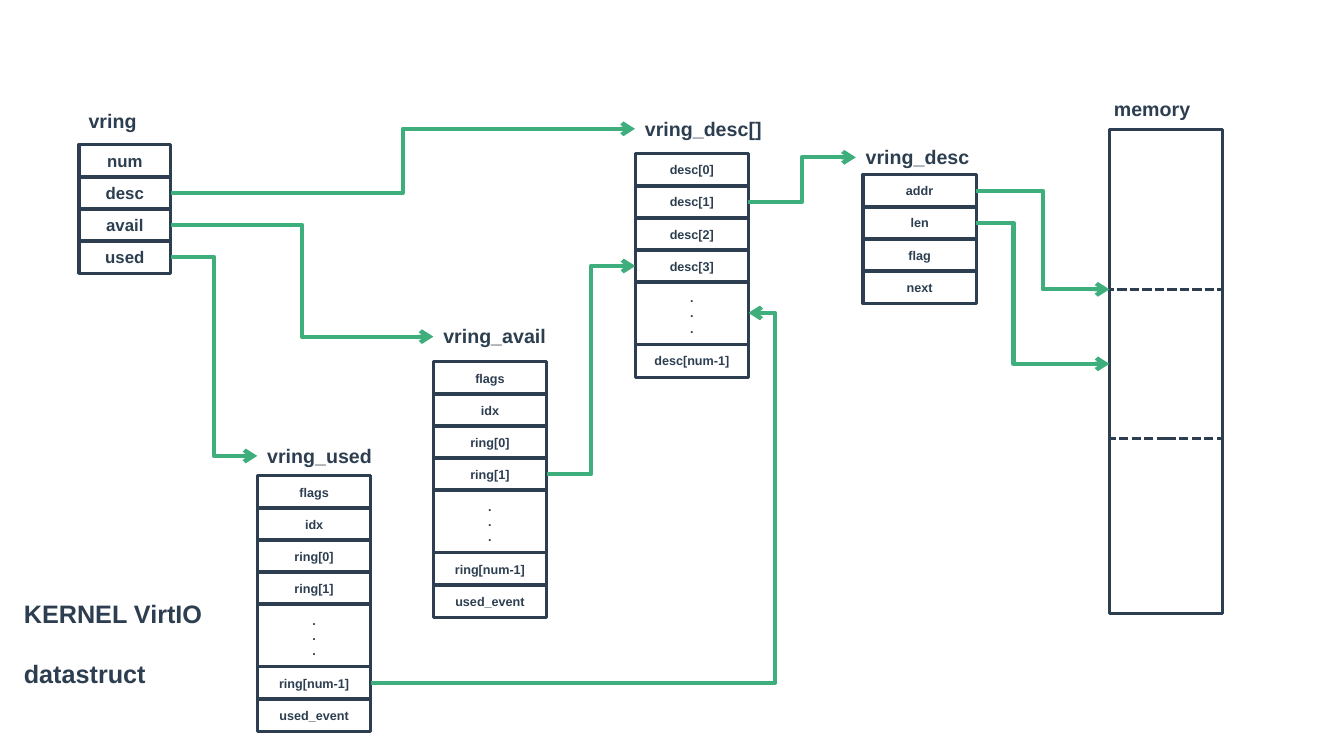
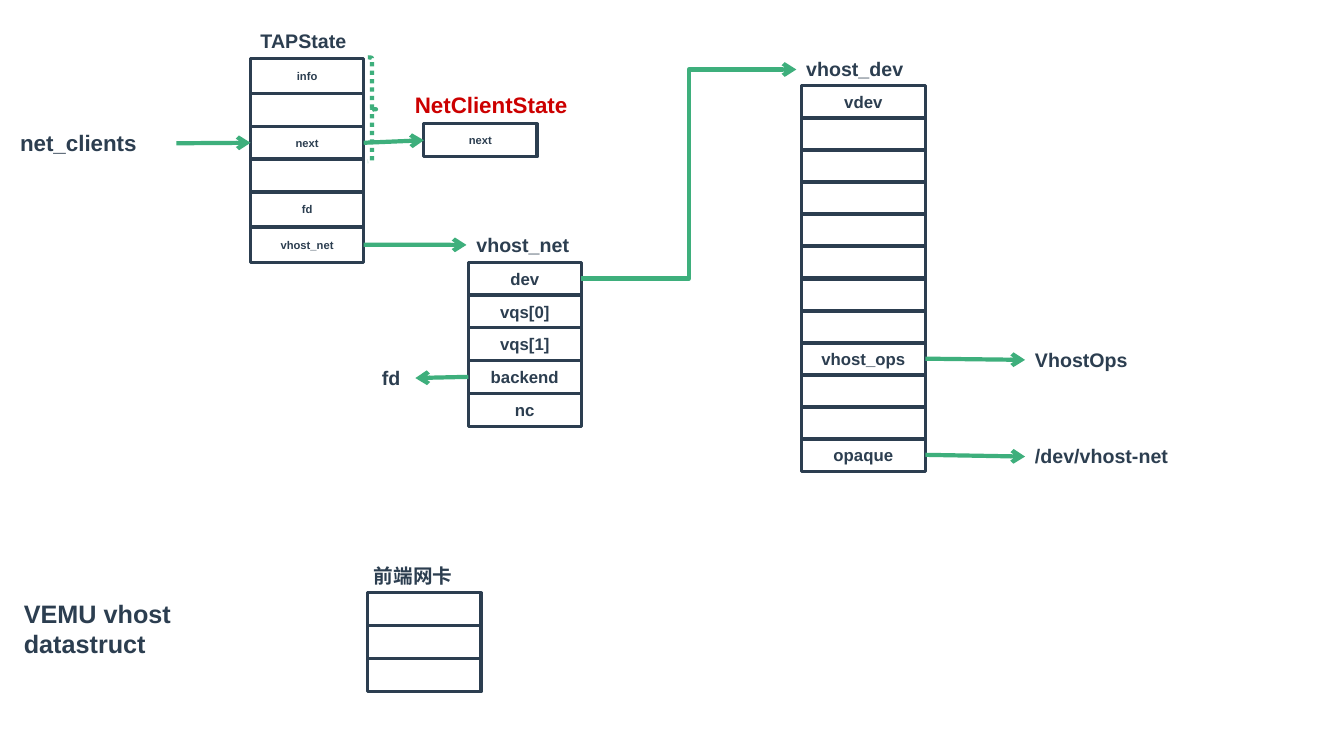
from pptx import Presentation
from pptx.dml.color import RGBColor
from pptx.enum import dml, shapes, text
from pptx.oxml import ns
from pptx.util import Pt
from lxml import etree

INK = RGBColor(0x2C, 0x3E, 0x50)
GREEN = RGBColor(0x3E, 0xAF, 0x7C)
RED = RGBColor(0xCC, 0x00, 0x00)
FONT = "Arial"
CELL_HEIGHT = 23.6
CELL_WIDTH = 80.8
DOTS = ".\n.\n."
DOTS_STEP = 44.8
LEFT, RIGHT = 1, 3  # connection sites of a rectangle


def write(shape, words, size, color=INK, align=text.PP_ALIGN.LEFT, gap=0):
    """Put bold text in a shape, one paragraph a line, gap points apart."""
    frame = shape.text_frame
    frame.word_wrap = True
    frame.text = words
    for index, para in enumerate(frame.paragraphs):
        para.alignment = align
        if index and gap:
            para.space_before = Pt(gap)
        for span in para.runs:
            span.font.name, span.font.size, span.font.bold = FONT, Pt(size), True
            span.font.color.rgb = color


def outline(owner, left, top, width, height, color=INK, weight=2.25,
            kind=shapes.MSO_SHAPE.RECTANGLE, dash=None):
    """Add an unfilled preset shape to a slide or group."""
    box = owner.shapes.add_shape(kind, Pt(left), Pt(top), Pt(width), Pt(height))
    box.shadow.inherit = False
    box.fill.background()
    box.line.color.rgb = color
    box.line.width = Pt(weight)
    if dash:
        box.line.dash_style = dash
    return box


def label(owner, words, left, top, width, size=14, **style):
    """Add a text box just tall enough for its lines of text."""
    height = size * 1.2 * (words.count("\n") + 1) + 7.7 + style.get("gap", 0)
    box = owner.shapes.add_textbox(Pt(left), Pt(top), Pt(width), Pt(height))
    write(box, words, size, **style)
    return box


def caption(page, words, gap=0):
    """Name the slide in its lower left corner."""
    label(page, words, 10, 423.5, 160, 18, gap=gap)


def struct(page, name, name_box, left, top, rows, width=CELL_WIDTH,
           size=9, pitch=22.9, steps=None, **name_style):
    """Draw a named column of cells; steps overrides the pitch of single rows."""
    group = page.shapes.add_group_shape()
    head = label(group, name, *name_box, **name_style)
    cells = []
    for index, words in enumerate(rows):
        step = (steps or {}).get(index, pitch)
        cell = outline(group, left, top, width, max(step, CELL_HEIGHT))
        if words:
            cell.text_frame.vertical_anchor = text.MSO_ANCHOR.MIDDLE
            write(cell, words, size, align=text.PP_ALIGN.CENTER)
        cells.append(cell)
        top += step
    return head, cells


def memory_block(page, left, top, width=CELL_WIDTH):
    """Draw the memory column and return its dashed region."""
    group = page.shapes.add_group_shape()
    label(group, "memory", left - 4, top - 27.3, 79)
    outline(group, left, top, width, 345.8)
    return outline(group, left, top + 114, width, 106.4,
                   dash=dml.MSO_LINE.SQUARE_DOT)


def arrow(page, start, end, bend=None, exit_site=RIGHT, entry_site=LEFT, corner=False):
    """Join two shapes; bend is the share of the width where an elbow turns.

    With corner the arrow ends at the top left of the second shape.
    """
    kind = shapes.MSO_CONNECTOR.STRAIGHT if bend is None else shapes.MSO_CONNECTOR.ELBOW
    link = page.shapes.add_connector(kind, 0, 0, end.left, end.top)
    link.begin_connect(start, exit_site)
    if not corner:
        link.end_connect(end, entry_site)
    link.line.color.rgb = GREEN
    link.line.width = Pt(3)
    properties = link._element.spPr
    line = properties.find(ns.qn("a:ln"))
    etree.SubElement(line, ns.qn("a:tailEnd"), type="arrow")
    etree.SubElement(properties, ns.qn("a:effectLst"))
    if bend is not None:
        guides = properties.find(ns.qn("a:prstGeom")).find(ns.qn("a:avLst"))
        etree.SubElement(guides, ns.qn("a:gd"), name="adj1",
                         fmla=f"val {round(bend * 100000)}")


def kernel_slide(page):
    """Show the kernel ring structures and where they point."""
    ring = ["flags", "idx", "ring[0]", "ring[1]", DOTS, "ring[num-1]", "used_event"]
    _, vring = struct(page, "vring", (56.2, 74.2, 56), 56.4, 103,
                      ["num", "desc", "avail", "used"], width=65.5, size=12)
    avail_name, avail = struct(page, "vring_avail", (309.6, 228.2, 100),
                               309.6, 258.3, ring, steps={4: DOTS_STEP})
    used_name, used = struct(page, "vring_used", (183.8, 313.4, 100),
                             184, 339.8, ring, steps={4: DOTS_STEP})
    table_name, table = struct(page, "vring_desc[]", (453.6, 79.8, 111), 453.8, 109.5,
                               [f"desc[{n}]" for n in range(4)] + [DOTS, "desc[num-1]"],
                               steps={4: DOTS_STEP})
    desc_name, desc = struct(page, "vring_desc", (611.3, 100.2, 98.6), 616.5, 124.5,
                             ["addr", "len", "flag", "next"])
    region = memory_block(page, 792.5, 92.7)

    arrow(page, vring[1], table_name, 0.5)
    arrow(page, vring[2], avail_name, 0.5)
    arrow(page, vring[3], used_name, 0.5)
    arrow(page, avail[3], table[3], 0.5)
    arrow(page, used[5], table[4], 1.07, entry_site=RIGHT)
    arrow(page, table[1], desc_name, 0.5)
    arrow(page, desc[0], region, 0.5, corner=True)
    arrow(page, desc[1], region, 0.28)
    caption(page, "KERNEL VirtIO\ndatastruct", gap=21.4)


def vhost_slide(page):
    """Show the emulator structures from the client list to the device."""
    clients = label(page, "net_clients", 7.2, 88.9, 118.8, 16)
    _, tap = struct(page, "TAPState", (179, 17.3, 86), 179, 41.6,
                    ["info", "", "next", "", "fd", "vhost_net"], size=8,
                    pitch=23.4, steps={0: 25.2, 4: 25.2, 5: 25.2})
    outline(page, 262.8, 41, 5.8, 74.2, GREEN, 3,
            shapes.MSO_SHAPE.RIGHT_BRACE, dml.MSO_LINE.ROUND_DOT)
    _, client = struct(page, "NetClientState", (277, 61.4, 147.6, 16), 302.8, 88.4,
                       ["next"], size=8, color=RED, align=text.PP_ALIGN.CENTER)
    net_name, net = struct(page, "vhost_net", (333.2, 162.7, 91.4), 334.5, 187.2,
                           ["dev", "vqs[0]", "vqs[1]", "backend", "nc"],
                           size=12, pitch=23.4)
    dev_name, dev = struct(page, "vhost_dev", (568.8, 37.4, 103.7), 572.4, 61.2,
                           ["vdev"] + [""] * 7 + ["vhost_ops", "", "", "opaque"],
                           width=88.6, size=12)
    struct(page, "前端网卡", (260, 399.6, 78), 262.8, 423.4, [""] * 3, pitch=CELL_HEIGHT)
    operations = label(page, "VhostOps", 732.2, 244.8, 90)
    device = label(page, "/dev/vhost-net", 732.2, 313.9, 128.9)
    backend = label(page, "fd", 265.7, 257.8, 31)

    arrow(page, clients, tap[2])
    arrow(page, tap[2], client[0])
    arrow(page, tap[5], net_name)
    arrow(page, net[0], dev_name, 0.5)
    arrow(page, dev[8], operations)
    arrow(page, dev[11], device)
    arrow(page, net[3], backend, exit_site=LEFT, entry_site=RIGHT)
    caption(page, "VEMU vhost\ndatastruct")


deck = Presentation()
deck.slide_width, deck.slide_height = Pt(960), Pt(540)
for build in (kernel_slide, vhost_slide):
    build(deck.slides.add_slide(deck.slide_layouts[6]))
deck.save("out.pptx")
